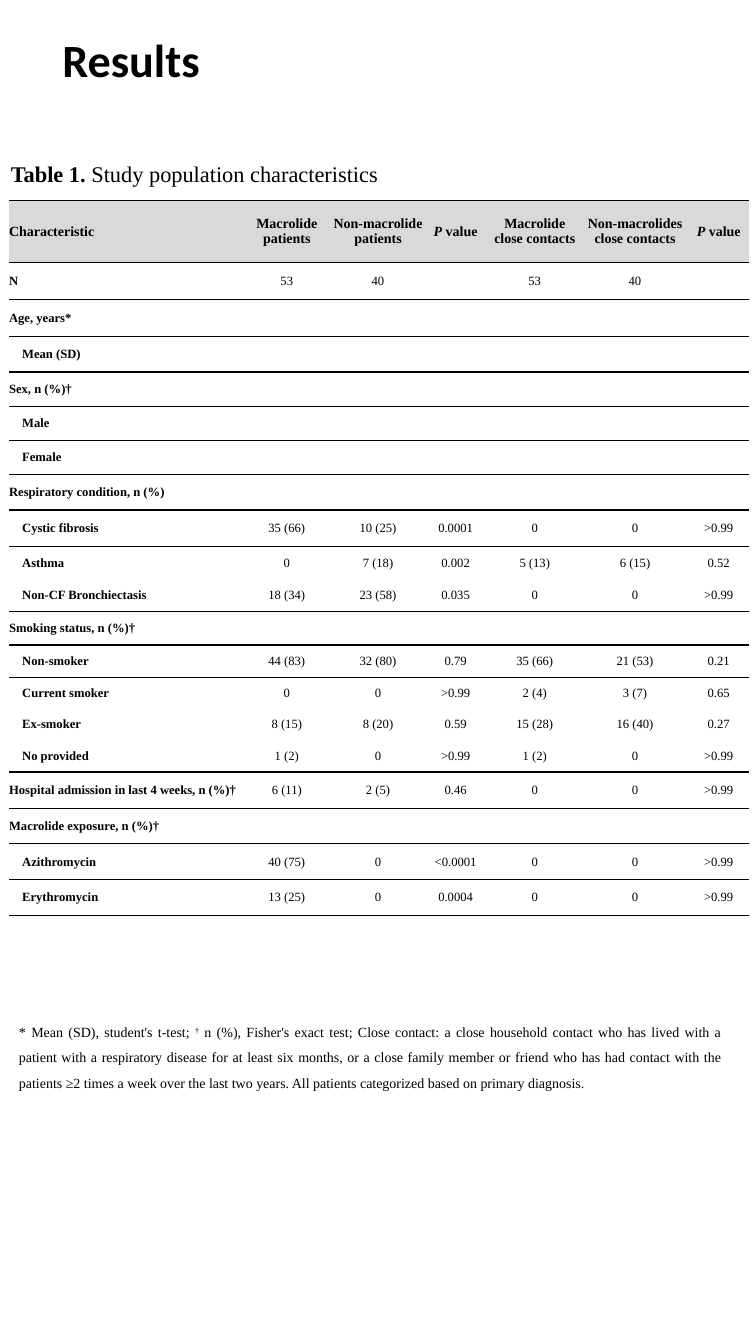
from dataclasses import dataclass

from lxml import etree
from pptx import Presentation
from pptx.dml.color import RGBColor
from pptx.enum.text import MSO_ANCHOR, PP_ALIGN
from pptx.oxml.ns import qn
from pptx.util import Inches, Pt

LEFT, CENTER, JUSTIFY = PP_ALIGN.LEFT, PP_ALIGN.CENTER, PP_ALIGN.JUSTIFY
TOP, MIDDLE = MSO_ANCHOR.TOP, MSO_ANCHOR.MIDDLE
PLAIN_TABLE_STYLE = "{2D5ABB26-0587-4C30-8999-92F81FD0307C}"


@dataclass(frozen=True)
class Theme:
    """Colours, fonts and type sizes of the slide."""
    ink: str = "000000"
    header_fill: str = "D9D9D9"
    heading_font: str = "Calibri"
    body_font: str = "Times New Roman"
    title_size: int = 33
    caption_size: int = 16
    small_size: int = 10
    data_size: int = 9
    rule_width: int = 1


@dataclass(frozen=True)
class Span:
    """A stretch of text in one style."""
    text: str
    bold: bool = False
    italic: bool = False
    superscript: bool = False


@dataclass(frozen=True)
class Row:
    """A characteristic with its values; sub-items are indented."""
    label: str
    height: float
    values: tuple[str, ...] = ()
    indented: bool = False


THEME = Theme()
INDENT = 0.13
COLUMN_WIDTHS = (2.3, 0.91, 0.9, 0.64, 0.93, 1.06, 0.6)
HEADER_HEIGHT = 0.61
P_VALUE = (Span("P", bold=True, italic=True), Span(" value", bold=True))
HEADERS = (
    (Span("Characteristic", bold=True),),
    (Span("Macrolide patients", bold=True),),
    (Span("Non-macrolide patients", bold=True),),
    P_VALUE,
    (Span("Macrolide\nclose contacts", bold=True),),
    (Span("Non-macrolides close contacts", bold=True),),
    P_VALUE,
)
ROWS = (
    Row("N", 0.37, ("53", "40", "", "53", "40", "")),
    Row("Age, years*", 0.37),
    Row("Mean (SD)", 0.35, indented=True),
    Row("Sex, n (%)†", 0.34),
    Row("Male", 0.34, indented=True),
    Row("Female", 0.34, indented=True),
    Row("Respiratory condition, n (%)", 0.35),
    Row("Cystic fibrosis", 0.36, ("35 (66)", "10 (25)", "0.0001", "0", "0", ">0.99"), True),
    Row("Asthma", 0.33, ("0", "7 (18)", "0.002", "5 (13)", "6 (15)", "0.52"), True),
    Row("Non-CF Bronchiectasis", 0.32, ("18 (34)", "23 (58)", "0.035", "0", "0", ">0.99"), True),
    Row("Smoking status, n (%)†", 0.33),
    Row("Non-smoker", 0.32, ("44 (83)", "32 (80)", "0.79", "35 (66)", "21 (53)", "0.21"), True),
    Row("Current smoker", 0.32, ("0", "0", ">0.99", "2 (4)", "3 (7)", "0.65"), True),
    Row("Ex-smoker", 0.3, ("8 (15)", "8 (20)", "0.59", "15 (28)", "16 (40)", "0.27"), True),
    Row("No provided", 0.32, ("1 (2)", "0", ">0.99", "1 (2)", "0", ">0.99"), True),
    Row("Hospital admission in last 4 weeks, n (%)†", 0.36,
        ("6 (11)", "2 (5)", "0.46", "0", "0", ">0.99")),
    Row("Macrolide exposure, n (%)†", 0.35),
    Row("Azithromycin", 0.36, ("40 (75)", "0", "<0.0001", "0", "0", ">0.99"), True),
    Row("Erythromycin", 0.35, ("13 (25)", "0", "0.0004", "0", "0", ">0.99"), True),
)
FOOTNOTE = (
    Span("* Mean (SD), student's t-test; "),
    Span("†", superscript=True),
    Span(" n (%), Fisher's exact test; Close contact: a close household contact who has "
         "lived with a patient with a respiratory disease for at least six months, or a close "
         "family member or friend who has had contact with the patients ≥2 times a week over "
         "the last two years. All patients categorized based on primary diagnosis."),
)


def write_spans(frame, spans: tuple[Span, ...], size: int, font: str = THEME.body_font,
                align=LEFT, spacing: float = 1.0) -> None:
    """Write styled spans; a line break in a span starts a new paragraph."""
    paragraph = frame.paragraphs[0]
    for span in spans:
        for number, line in enumerate(span.text.split("\n")):
            if number:
                paragraph = frame.add_paragraph()
            run = paragraph.add_run()
            run.text = line
            run.font.name, run.font.size = font, Pt(size)
            run.font.bold, run.font.italic = span.bold, span.italic
            run.font.color.rgb = RGBColor.from_string(THEME.ink)
            if span.superscript:
                run.font._element.set("baseline", "30000")
    for paragraph in frame.paragraphs:
        paragraph.alignment, paragraph.line_spacing = align, spacing


def add_text(slide, box: tuple[float, float, float, float], spans: tuple[Span, ...],
             size: int, anchor=TOP, **style) -> None:
    """Add a wrapping text box at left, top, width, height."""
    frame = slide.shapes.add_textbox(*map(Inches, box)).text_frame
    frame.word_wrap, frame.vertical_anchor = True, anchor
    write_spans(frame, spans, size, **style)


def rule_cell(cell, sides: list[str]) -> None:
    """Draw horizontal rules on the given sides of a cell."""
    properties = cell._tc.get_or_add_tcPr()
    for side in sides:
        line = etree.SubElement(properties, qn(f"a:{side}"), w=str(Pt(THEME.rule_width)))
        fill = etree.SubElement(line, qn("a:solidFill"))
        etree.SubElement(fill, qn("a:srgbClr"), val=THEME.ink)


def fill_cell(cell, spans: tuple[Span, ...], size: int, align, sides: list[str],
              indent: float = 0, header: bool = False) -> None:
    """Set the text, margins, rules and fill of a cell."""
    cell.margin_right = cell.margin_top = cell.margin_bottom = 0
    cell.margin_left = Inches(indent)
    cell.vertical_anchor = MIDDLE
    write_spans(cell.text_frame, spans, size, align=align)
    rule_cell(cell, sides)
    if header:
        cell.fill.solid()
        cell.fill.fore_color.rgb = RGBColor.from_string(THEME.header_fill)
    else:
        cell.fill.background()


def add_characteristics_table(slide, left: float, top: float) -> None:
    """Add the table, ruled everywhere except between indented rows."""
    heights = (HEADER_HEIGHT, *(row.height for row in ROWS))
    table = slide.shapes.add_table(
        len(heights), len(COLUMN_WIDTHS), Inches(left), Inches(top),
        Inches(sum(COLUMN_WIDTHS)), Inches(sum(heights))).table
    table.first_row = table.horz_banding = False
    table._tbl.tblPr.find(qn("a:tableStyleId")).text = PLAIN_TABLE_STYLE
    for column, width in zip(table.columns, COLUMN_WIDTHS):
        column.width = Inches(width)
    for table_row, height in zip(table.rows, heights):
        table_row.height = Inches(height)

    for column, spans in enumerate(HEADERS):
        fill_cell(table.cell(0, column), spans, THEME.small_size,
                  CENTER if column else LEFT, ["lnT", "lnB"], header=True)

    indents = [False, *(row.indented for row in ROWS), False]
    for number, row in enumerate(ROWS, start=1):
        neighbours = {"lnT": indents[number - 1], "lnB": indents[number + 1]}
        sides = [side for side, indented in neighbours.items()
                 if not (row.indented and indented)]
        fill_cell(table.cell(number, 0), (Span(row.label, bold=True),), THEME.data_size,
                  LEFT, sides, indent=INDENT if row.indented else 0)
        values = row.values or ("",) * (len(COLUMN_WIDTHS) - 1)
        for column, value in enumerate(values, start=1):
            fill_cell(table.cell(number, column), (Span(value),), THEME.data_size,
                      CENTER, sides)


def main() -> None:
    """Build the results slide and save it."""
    deck = Presentation()
    deck.slide_width, deck.slide_height = Inches(7.5), Inches(13.33)
    slide = deck.slides.add_slide(deck.slide_layouts[6])
    add_text(slide, (0.52, 0, 6.47, 1.24), (Span("Results", bold=True),), THEME.title_size,
             anchor=MIDDLE, font=THEME.heading_font, spacing=0.9)
    add_text(slide, (0.01, 1.54, 7.23, 0.37),
             (Span("Table 1. ", bold=True), Span("Study population characteristics")),
             THEME.caption_size)
    add_characteristics_table(slide, 0.09, 1.99)
    add_text(slide, (0.09, 10.02, 7.16, 0.83), FOOTNOTE, THEME.small_size,
             align=JUSTIFY, spacing=1.5)
    deck.save("out.pptx")


main()
